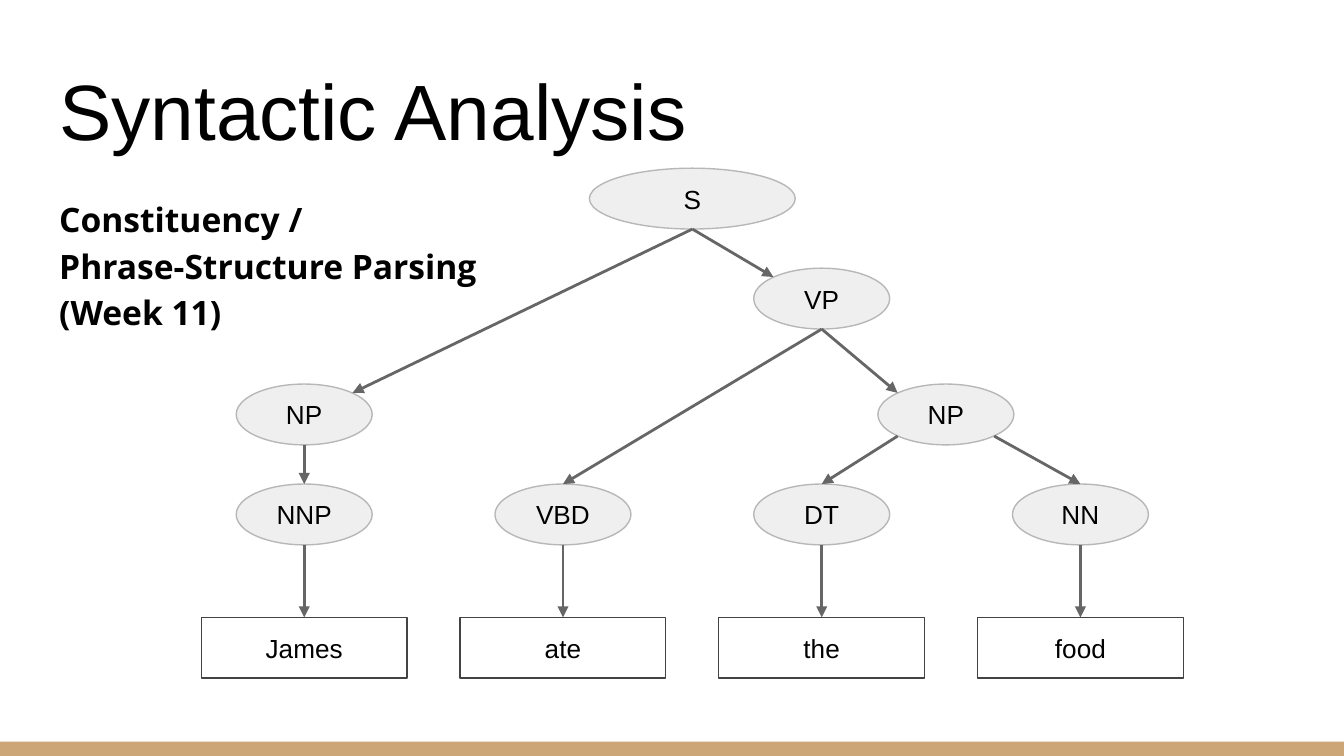
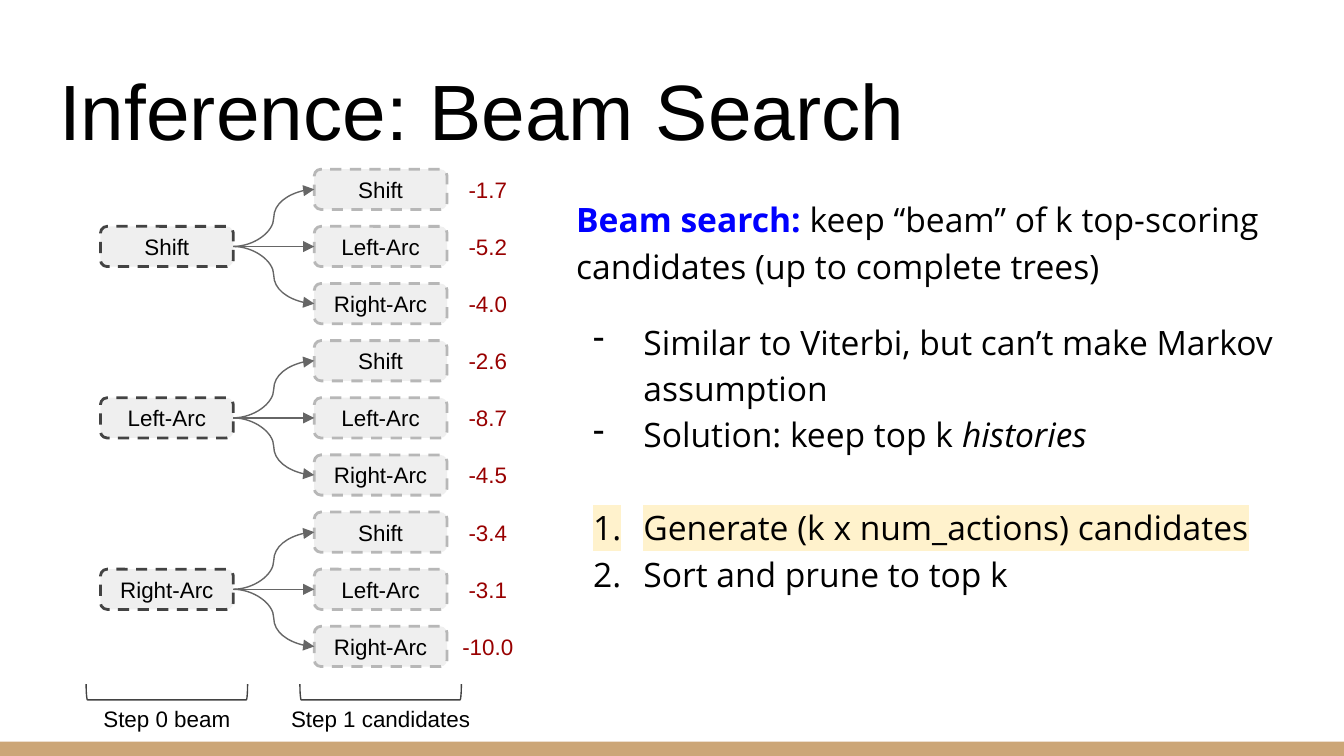
from lxml import etree
from pptx import Presentation
from pptx.dml.color import RGBColor
from pptx.enum.dml import MSO_LINE
from pptx.enum.shapes import MSO_CONNECTOR, MSO_SHAPE
from pptx.enum.text import MSO_ANCHOR, MSO_AUTO_SIZE, PP_ALIGN
from pptx.oxml.ns import qn
from pptx.util import Cm, Pt

RECTANGLE, ELLIPSE = MSO_SHAPE.RECTANGLE, MSO_SHAPE.OVAL
ROUNDED, BRACKET = MSO_SHAPE.ROUNDED_RECTANGLE, MSO_SHAPE.LEFT_BRACKET
STRAIGHT, CURVED = MSO_CONNECTOR.STRAIGHT, MSO_CONNECTOR.CURVE
TOP, MIDDLE, BOTTOM = MSO_ANCHOR.TOP, MSO_ANCHOR.MIDDLE, MSO_ANCHOR.BOTTOM
LEFT, CENTER = PP_ALIGN.LEFT, PP_ALIGN.CENTER
DASH = MSO_LINE.DASH

BLACK = RGBColor(0x00, 0x00, 0x00)
BLUE = RGBColor(0x00, 0x00, 0xFF)
RED = RGBColor(0x98, 0x00, 0x00)
TAN = RGBColor(0xCC, 0xA6, 0x77)
PALE = RGBColor(0xEF, 0xEF, 0xEF)
SILVER = RGBColor(0xB7, 0xB7, 0xB7)
GREY = RGBColor(0x66, 0x66, 0x66)
DARK = RGBColor(0x43, 0x43, 0x43)
CREAM = RGBColor(0xFF, 0xF2, 0xCC)

HEADING, BODY = "Arial", "Open Sans"
SLIDE_WIDTH, SLIDE_HEIGHT = 25.4, 14.29
BAND_TOP = 14.02
TITLE_BOX = (0.87, 0.89, 23.67, 2.31)
RIGHT_EDGE, BODY_TOP = 24.54, 3.4

# Syntax tree: node -> (label, column, top); columns are counted from the first word.
FIRST_COLUMN, COLUMN_STEP = 5.75, 4.89
NODE_WIDTH, WIDE_NODE, NODE_HEIGHT = 2.57, 3.89, 1.15
TAG_TOP, WORD_TOP = 9.15, 11.67
WORDS = [("NNP", "James"), ("VBD", "ate"), ("DT", "the"), ("NN", "food")]
PHRASES = {
    "sentence": ("S", 1.5, 3.18),
    "verb phrase": ("VP", 2, 5.07),
    "subject": ("NP", 0, 7.26),
    "object": ("NP", 2.48, 7.26),
}
EDGES = [
    ("sentence", "bottom", "subject", "top right"),
    ("sentence", "bottom", "verb phrase", "top left"),
    ("verb phrase", "bottom", "VBD", "top"),
    ("verb phrase", "bottom", "object", "top left"),
    ("subject", "bottom", "NNP", "top"),
    ("object", "bottom left", "DT", "top"),
    ("object", "bottom right", "NN", "top"),
]
SITES = {  # point on a node's outline, in half widths and half heights
    "top": (0, -1), "bottom": (0, 1),
    "top left": (-0.71, -0.71), "top right": (0.71, -0.71),
    "bottom left": (-0.71, 0.71), "bottom right": (0.71, 0.71),
}
PARSING_TEXT = [
    {"runs": [("Constituency /", {"bold": True})]},
    {"runs": [("Phrase-Structure Parsing", {"bold": True})]},
    {"runs": [("(Week 11)", {"bold": True})]},
]

# Beam search: each beam item has one candidate and score per action.
ACTIONS = ["Shift", "Left-Arc", "Right-Arc"]
SCORES = [
    ["-1.7", "-5.2", "-4.0"],
    ["-2.6", "-8.7", "-4.5"],
    ["-3.4", "-3.1", "-10.0"],
]
BEAM_LEFT, CANDIDATE_LEFT, SCORE_LEFT = 1.9, 5.94, 8.46
ACTION_WIDTH, ACTION_HEIGHT, SCORE_WIDTH = 2.51, 0.76, 1.52
FIRST_ROW, ROW_STEP = 3.2, 1.08
BRACKET_DEPTH, BRACKET_SPAN, BRACKET_MIDDLE = 0.3, 3.05, 13.08
STEPS = [("Step 0 beam", BEAM_LEFT, 3.05), ("Step 1 candidates", CANDIDATE_LEFT, 4.24)]
STEP_TOP = 13.21
BEAM_TEXT = [
    {"runs": [("Beam search:", {"bold": True, "color": BLUE}),
              (" keep “beam” of k top-scoring candidates (up to complete trees)", {})]},
    {"bullet": "-", "before": 16,
     "runs": [("Similar to Viterbi, but can’t make Markov assumption", {})]},
    {"bullet": "-", "runs": [("Solution: keep top k ", {}), ("histories", {"italic": True})]},
    {"bullet": "1.", "before": 25,
     "runs": [("Generate (k x num_actions) candidates", {"highlight": CREAM})]},
    {"bullet": "1.", "runs": [("Sort and prune to top k", {})]},
]


def set_values(target, **values):
    for name, value in values.items():
        setattr(target, name, value)


def set_frame(frame, anchor):
    inset = Cm(0.25)
    set_values(frame, word_wrap=True, auto_size=MSO_AUTO_SIZE.NONE, vertical_anchor=anchor,
               margin_left=inset, margin_right=inset, margin_top=inset, margin_bottom=inset)


def add_run(paragraph, text, size, name=HEADING, color=BLACK, highlight=None, **style):
    run = paragraph.add_run()
    run.text = text
    set_values(run.font, size=Pt(size), name=name, **style)
    run.font.color.rgb = color
    if highlight is not None:
        mark = etree.Element(qn("a:highlight"))
        etree.SubElement(mark, qn("a:srgbClr"), val=str(highlight))
        run.font.fill  # keeps the schema order: fill, then highlight
        run.font.color.rgb = color
        paragraph_fill = run._r.rPr.find(qn("a:solidFill"))
        paragraph_fill.addnext(mark)


def write_line(shape, text, size, anchor=MIDDLE, align=CENTER, color=BLACK):
    set_frame(shape.text_frame, anchor)
    paragraph = shape.text_frame.paragraphs[0]
    paragraph.alignment = align
    add_run(paragraph, text, size, color=color)


def add_label(slide, text, box, size, color=BLACK):
    label = slide.shapes.add_textbox(*map(Cm, box))
    write_line(label, text, size, color=color)


def add_bullet(paragraph, bullet):
    properties = paragraph._p.get_or_add_pPr()
    properties.set("marL", str(Cm(1.27)))
    properties.set("indent", str(Cm(-0.95)))
    color = etree.SubElement(properties, qn("a:buClr"))
    etree.SubElement(color, qn("a:srgbClr"), val=str(BLACK))
    if bullet == "1.":
        etree.SubElement(properties, qn("a:buAutoNum"), type="arabicPeriod")
    else:
        etree.SubElement(properties, qn("a:buChar"), char=bullet)


def add_body(slide, left, height, items):
    box = (left, BODY_TOP, RIGHT_EDGE - left, height)
    frame = slide.shapes.add_textbox(*map(Cm, box)).text_frame
    set_frame(frame, TOP)
    for index, item in enumerate(items):
        paragraph = frame.add_paragraph() if index else frame.paragraphs[0]
        set_values(paragraph, line_spacing=1.15, space_before=Pt(item.get("before", 0)))
        if "bullet" in item:
            add_bullet(paragraph, item["bullet"])
        for text, style in item["runs"]:
            add_run(paragraph, text, 18, name=BODY, **style)


def add_figure(slide, kind, box, fill=None, line=None, weight=0.75, dash=None):
    shape = slide.shapes.add_shape(kind, *map(Cm, box))
    shape.shadow.inherit = False
    if fill is None:
        shape.fill.background()
    else:
        shape.fill.solid()
        shape.fill.fore_color.rgb = fill
    if line is None:
        shape.line.fill.background()
    else:
        shape.line.color.rgb = line
        set_values(shape.line, width=Pt(weight), dash_style=dash)
    return shape


def add_arrow(slide, kind, start, end, weight):
    arrow = slide.shapes.add_connector(kind, *map(Cm, (*start, *end)))
    arrow.line.color.rgb = GREY
    arrow.line.width = Pt(weight)
    properties = arrow.element.spPr
    etree.SubElement(properties.find(qn("a:ln")), qn("a:tailEnd"), type="triangle")
    etree.SubElement(properties, qn("a:effectLst"))
    return arrow


def add_slide(presentation, title):
    slide = presentation.slides.add_slide(presentation.slide_layouts[5])
    placeholder = slide.shapes.title
    left, top, width, height = map(Cm, TITLE_BOX)
    set_values(placeholder, left=left, top=top, width=width, height=height)
    write_line(placeholder, title, 42, BOTTOM, LEFT)
    return slide


def add_band(slide):
    """Place the bottom band on the layout that all slides share."""
    box = (0, BAND_TOP, SLIDE_WIDTH, SLIDE_HEIGHT - BAND_TOP)
    band = add_figure(slide, RECTANGLE, box, fill=TAN)
    slide.slide_layout.shapes.element.append(band.element)


def add_node(slide, kind, text, column, top, width, **look):
    """Draw a tree node and return its box."""
    box = (FIRST_COLUMN + column * COLUMN_STEP - width / 2, top, width, NODE_HEIGHT)
    write_line(add_figure(slide, kind, box, **look), text, 14)
    return box


def site_point(box, site):
    left, top, width, height = box
    across, down = SITES[site]
    return left + width / 2 * (1 + across), top + height / 2 * (1 + down)


def build_syntax_tree(slide):
    add_body(slide, 0.87, 9.32, PARSING_TEXT)
    phrase_look = {"fill": PALE, "line": SILVER}
    nodes = {}
    edges = list(EDGES)
    for column, (tag, word) in enumerate(WORDS):
        nodes[word] = add_node(slide, RECTANGLE, word, column, WORD_TOP, WIDE_NODE, line=DARK)
        nodes[tag] = add_node(slide, ELLIPSE, tag, column, TAG_TOP, NODE_WIDTH, **phrase_look)
        edges.append((tag, "bottom", word, "top"))
    for name, (label, column, top) in PHRASES.items():
        width = WIDE_NODE if label == "S" else NODE_WIDTH
        nodes[name] = add_node(slide, ELLIPSE, label, column, top, width, **phrase_look)
    for parent, start, child, end in edges:
        add_arrow(slide, STRAIGHT, site_point(nodes[parent], start),
                  site_point(nodes[child], end), 1.5)


def add_action(slide, text, left, top, line):
    box = (left, top, ACTION_WIDTH, ACTION_HEIGHT)
    shape = add_figure(slide, ROUNDED, box, PALE, line, 1.5, DASH)
    write_line(shape, text, 12)
    return shape


def build_beam_search(slide):
    add_body(slide, 10.64, 3.05, BEAM_TEXT)
    for group, (beam_action, scores) in enumerate(zip(ACTIONS, SCORES)):
        group_top = FIRST_ROW + group * len(ACTIONS) * ROW_STEP
        beam = add_action(slide, beam_action, BEAM_LEFT, group_top + ROW_STEP, DARK)
        for row, (action, score) in enumerate(zip(ACTIONS, scores)):
            top = group_top + row * ROW_STEP
            candidate = add_action(slide, action, CANDIDATE_LEFT, top, SILVER)
            arrow = add_arrow(slide, CURVED, (0, 0), (1, 1), 0.75)
            arrow.begin_connect(beam, 3)
            arrow.end_connect(candidate, 1)
            add_label(slide, score, (SCORE_LEFT, top, SCORE_WIDTH, ACTION_HEIGHT), 12, RED)
    for text, left, width in STEPS:
        center = left + ACTION_WIDTH / 2
        box = (center - BRACKET_DEPTH / 2, BRACKET_MIDDLE - BRACKET_SPAN / 2,
               BRACKET_DEPTH, BRACKET_SPAN)
        add_figure(slide, BRACKET, box, line=DARK).rotation = 270
        add_label(slide, text, (center - width / 2, STEP_TOP, width, ACTION_HEIGHT), 12)


def main():
    presentation = Presentation()
    set_values(presentation, slide_width=Cm(SLIDE_WIDTH), slide_height=Cm(SLIDE_HEIGHT))
    tree_slide = add_slide(presentation, "Syntactic Analysis")
    add_band(tree_slide)
    build_syntax_tree(tree_slide)
    build_beam_search(add_slide(presentation, "Inference: Beam Search"))
    presentation.save("out.pptx")


if __name__ == "__main__":
    main()
